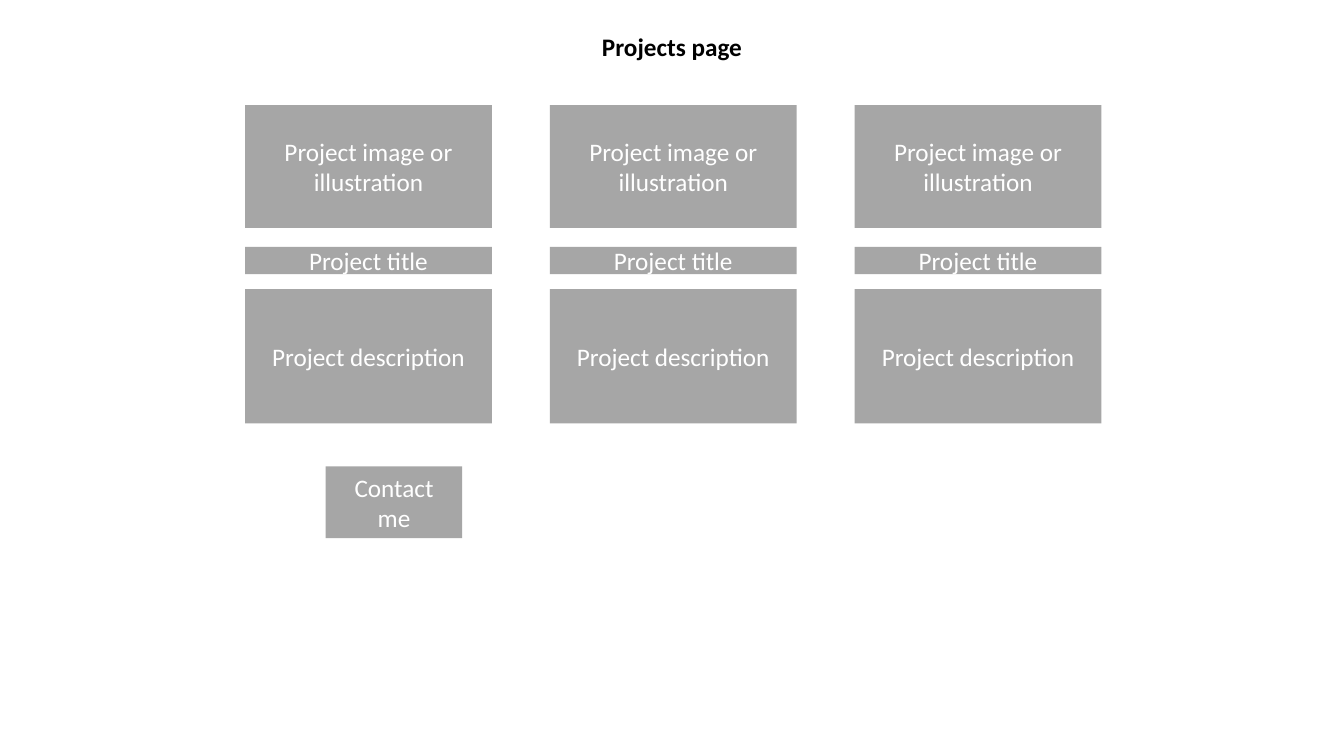
from pptx import Presentation
from pptx.dml.color import RGBColor
from pptx.enum import shapes, text
from pptx.util import Pt

BLACK = RGBColor(0x00, 0x00, 0x00)
WHITE = RGBColor(0xFF, 0xFF, 0xFF)
GREY = RGBColor(0xA6, 0xA6, 0xA6)


def write(frame, wording, *, color, size=18, bold=False,
          anchor=text.MSO_ANCHOR.MIDDLE):
    frame.word_wrap = True
    frame.auto_size = text.MSO_AUTO_SIZE.NONE
    frame.vertical_anchor = anchor
    frame.margin_left = frame.margin_right = Pt(7.2)
    frame.margin_top = frame.margin_bottom = Pt(3.6)
    paragraph = frame.paragraphs[0]
    paragraph.alignment = text.PP_ALIGN.CENTER
    paragraph.line_spacing = 1.0
    paragraph.space_before = Pt(0)
    run = paragraph.add_run()
    run.text = wording
    run.font.name = "Calibri"
    run.font.size = Pt(size)
    run.font.bold = bold
    run.font.color.rgb = color


class Wireframe:
    """Holds the block style and the current slide."""

    def __init__(self, slide, fill=GREY, ink=WHITE):
        self.slide = slide
        self.fill = fill
        self.ink = ink

    def title(self, wording, left, top, width, height):
        heading = self.slide.shapes.title
        heading.left, heading.top = Pt(left), Pt(top)
        heading.width, heading.height = Pt(width), Pt(height)
        write(heading.text_frame, wording, color=BLACK, bold=True,
              anchor=text.MSO_ANCHOR.TOP)

    def block(self, wording, left, top, width, height):
        block = self.slide.shapes.add_shape(
            shapes.MSO_SHAPE.RECTANGLE,
            Pt(left), Pt(top), Pt(width), Pt(height))
        block.shadow.inherit = False
        block.fill.solid()
        block.fill.fore_color.rgb = self.fill
        block.line.fill.background()
        write(block.text_frame, wording, color=self.ink)


def main():
    deck = Presentation()
    deck.slide_width, deck.slide_height = Pt(960), Pt(540)
    page = Wireframe(deck.slides.add_slide(deck.slide_layouts[5]))

    # Heading
    page.title("Projects page", 342.5, 18.7, 275, 29)

    # Three project columns, each with the same stack of blocks
    first_left, column_pitch, column_width = 175, 217.7, 176.4
    project_parts = [
        ("Project image or illustration", 75, 87.8),
        ("Project title", 176.4, 19.4),
        ("Project description", 206.6, 95.8),
    ]
    for project in range(3):
        left = first_left + project * column_pitch
        for wording, top, height in project_parts:
            page.block(wording, left, top, column_width, height)

    # Contact button
    page.block("Contact me", 232.7, 333.2, 97.5, 51.2)

    deck.save("out.pptx")


if __name__ == "__main__":
    main()
